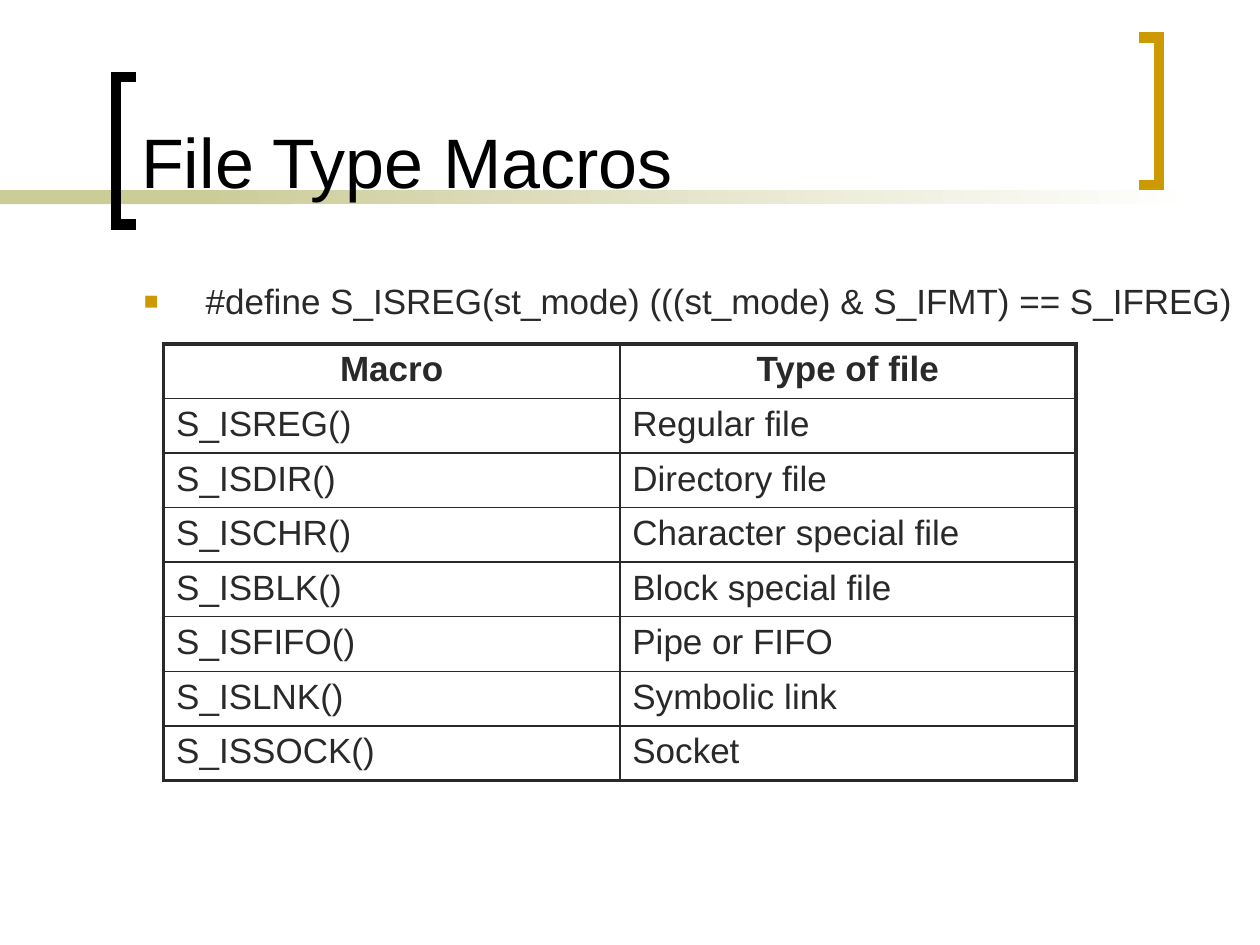
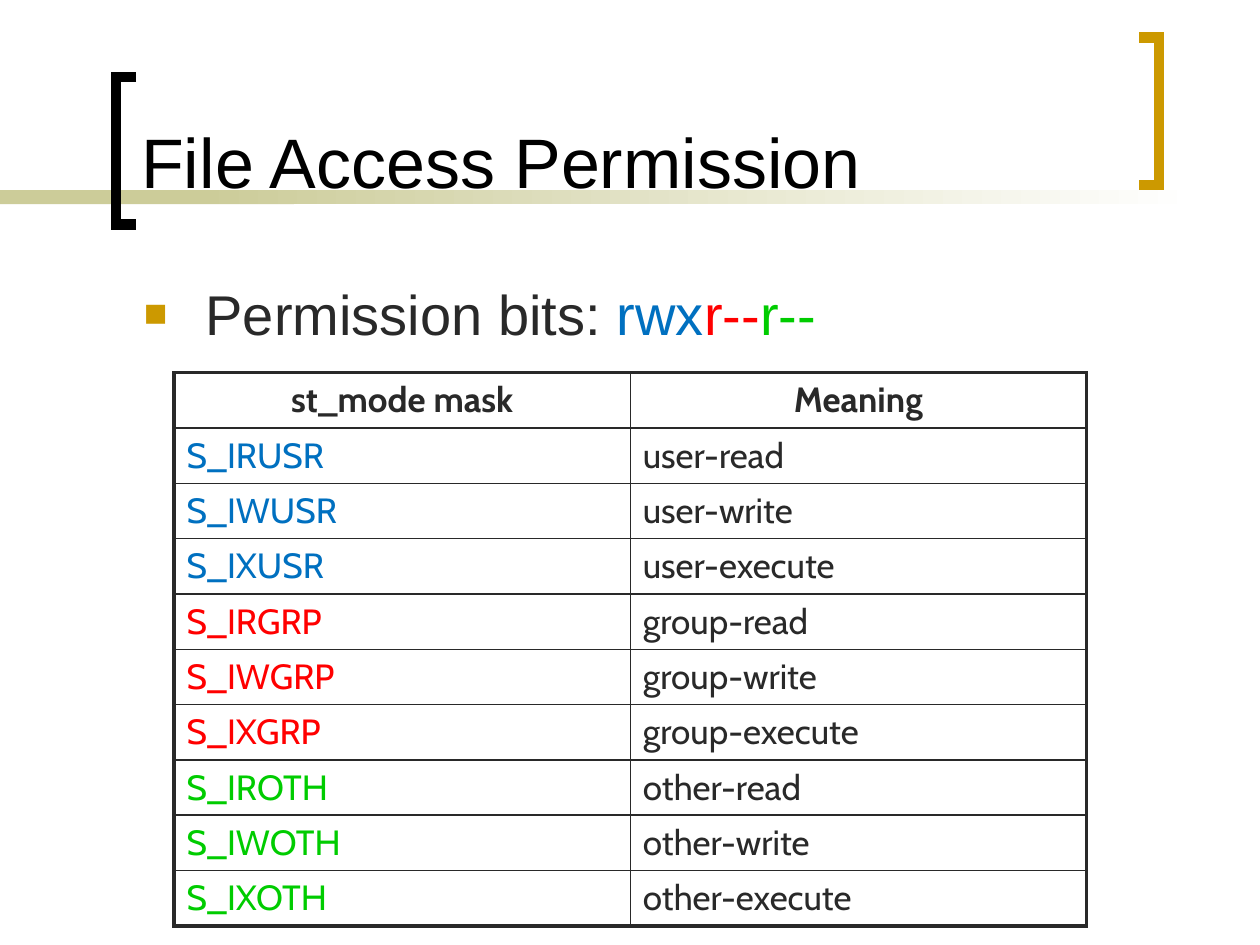
from lxml.etree import SubElement
from pptx import Presentation
from pptx.dml.color import RGBColor as RGB
from pptx.enum.shapes import MSO_SHAPE as SHAPE
from pptx.enum.text import MSO_ANCHOR as ANCHOR, MSO_AUTO_SIZE as AUTOSIZE, PP_ALIGN as ALIGN
from pptx.oxml.ns import qn
from pptx.util import Pt

COLORS = {
    "title": "000000", "text": "292929", "gold": "CC9900",
    "band": "CCCC99", "white": "FFFFFF",
    "user": "0070C0", "group": "FF0000", "other": "00CC00",
}
HEAVY, THIN = 2.25, 1
ROW_HEIGHT, TABLE_WIDTH = 31.2, 521.4


def style(font, size, color, name="Arial", bold=False):
    font.size, font.name, font.bold = Pt(size), name, bold
    font.color.rgb = RGB.from_string(COLORS[color])


def add_border(cell, index, side, width):
    line = cell.fill._xPr.makeelement(qn(f"a:ln{side}"), {"w": str(Pt(width))})
    fill = SubElement(line, qn("a:solidFill"))
    SubElement(fill, qn("a:srgbClr"), val=COLORS["text"])
    cell.fill._xPr.insert(index, line)


# Content
file_types = [("S_ISREG()", "Regular file"), ("S_ISDIR()", "Directory file"),
              ("S_ISCHR()", "Character special file"), ("S_ISBLK()", "Block special file"),
              ("S_ISFIFO()", "Pipe or FIFO"), ("S_ISLNK()", "Symbolic link"),
              ("S_ISSOCK()", "Socket")]
classes = {"user": "USR", "group": "GRP", "other": "OTH"}
actions = {"read": "R", "write": "W", "execute": "X"}

topics = [
    {"title": "File Type Macros",
     "bullet": [("#define S_ISREG(st_mode) (((st_mode) & S_IFMT) == S_IFREG)", "text")],
     "bullet_size": 20, "body_width": 645, "table_at": (93.5, 196.5), "font": "Arial",
     "header": ("Macro", "Type of file"),
     "rows": [(macro, kind, "text") for macro, kind in file_types]},
    {"title": "File Access Permission",
     "bullet": [("Permission bits: ", "text"), ("rwx", "user"),
                ("r--", "group"), ("r--", "other")],
     "bullet_size": 32, "body_width": 603.5, "table_at": (99.5, 213), "font": "Cabin",
     "header": ("st_mode mask", "Meaning"),
     "rows": [(f"S_I{letter}{suffix}", f"{who}-{action}", who)
              for who, suffix in classes.items() for action, letter in actions.items()]},
]

prs = Presentation()
prs.slide_width, prs.slide_height = Pt(720), Pt(540)
layout = prs.slide_layouts[1]
slides = [prs.slides.add_slide(layout) for _ in topics]

# Shared decoration: band and brackets, drawn once and moved to the layout
canvas = slides[0].shapes
decoration = []
for left, width in [(0, 168), (114, 570)]:
    band = canvas.add_shape(SHAPE.RECTANGLE, Pt(left), Pt(108.7), Pt(width), Pt(8))
    band.line.fill.background()
    decoration.append(band)
solid_band, fading_band = decoration
solid_band.fill.solid()
solid_band.fill.fore_color.rgb = RGB.from_string(COLORS["band"])
fading_band.fill.gradient()
fading_band.fill.gradient_angle = 0
for stop, color in zip(fading_band.fill.gradient_stops, ("band", "white")):
    stop.color.rgb = RGB.from_string(COLORS[color])

for tip, spine, top, color in [(77.8, 66.2, 44, "title"), (651, 662.4, 21.6, "gold")]:
    bottom = top + 84.2
    outline = canvas.build_freeform(Pt(tip), Pt(top))
    outline.add_line_segments([(Pt(spine), Pt(top)), (Pt(spine), Pt(bottom)),
                               (Pt(tip), Pt(bottom))], close=False)
    bracket = outline.convert_to_shape()
    bracket.fill.background()
    bracket.line.width = Pt(6)
    bracket.line.color.rgb = RGB.from_string(COLORS[color])
    SubElement(bracket.line._ln, qn("a:miter"), lim="800000")
    decoration.append(bracket)

for order, part in enumerate(decoration):
    part.shadow.inherit = False
    part.element.nvSpPr.cNvPr.id = 20 + order
    layout.shapes.element.insert(2 + order, part.element)

for slide, topic in zip(slides, topics):
    # Title
    title = slide.shapes.title
    title.left, title.top, title.width, title.height = Pt(73.5), Pt(8), Pt(564), Pt(111.6)
    title.text_frame.text = topic["title"]
    title.text_frame.vertical_anchor = ANCHOR.BOTTOM
    title.text_frame.auto_size = AUTOSIZE.NONE
    heading = title.text_frame.paragraphs[0]
    heading.alignment = ALIGN.LEFT
    style(heading.font, 40, "title")

    # Bullet line
    body = slide.placeholders[1]
    body.left, body.top = Pt(75), Pt(156.2)
    body.width, body.height = Pt(topic["body_width"]), Pt(324)
    body.text_frame.auto_size = AUTOSIZE.NONE
    bullet = body.text_frame.paragraphs[0]
    props = bullet._p.get_or_add_pPr()
    props.set("marL", str(Pt(35.3)))
    props.set("indent", str(-Pt(35.3)))
    SubElement(SubElement(props, qn("a:buClr")), qn("a:srgbClr"), val=COLORS["gold"])
    SubElement(props, qn("a:buSzPct"), val="70000")
    SubElement(props, qn("a:buFont"), typeface="Arial")
    SubElement(props, qn("a:buChar"), char="■")
    style(bullet.font, topic["bullet_size"], "text")
    for words, color in topic["bullet"]:
        run = bullet.add_run()
        run.text = words
        style(run.font, topic["bullet_size"], color)

    # Table
    rows = [(*topic["header"], "text")] + topic["rows"]
    left, top = topic["table_at"]
    table = slide.shapes.add_table(len(rows), 2, Pt(left), Pt(top), Pt(TABLE_WIDTH),
                                   Pt(ROW_HEIGHT * len(rows))).table
    table.first_row = table.horz_banding = False
    for r, (name, meaning, color) in enumerate(rows):
        for c, (words, ink) in enumerate([(name, color), (meaning, "text")]):
            cell = table.cell(r, c)
            cell.text = words
            entry = cell.text_frame.paragraphs[0]
            entry.alignment = ALIGN.CENTER if r == 0 else ALIGN.LEFT
            style(entry.font, 20, ink, topic["font"], bold=r == 0)
            cell.fill.background()
            outer = {"L": c == 0, "R": c == 1, "T": r == 0, "B": r == len(rows) - 1}
            for index, (side, is_edge) in enumerate(outer.items()):
                add_border(cell, index, side, HEAVY if is_edge else THIN)

prs.save("out.pptx")
